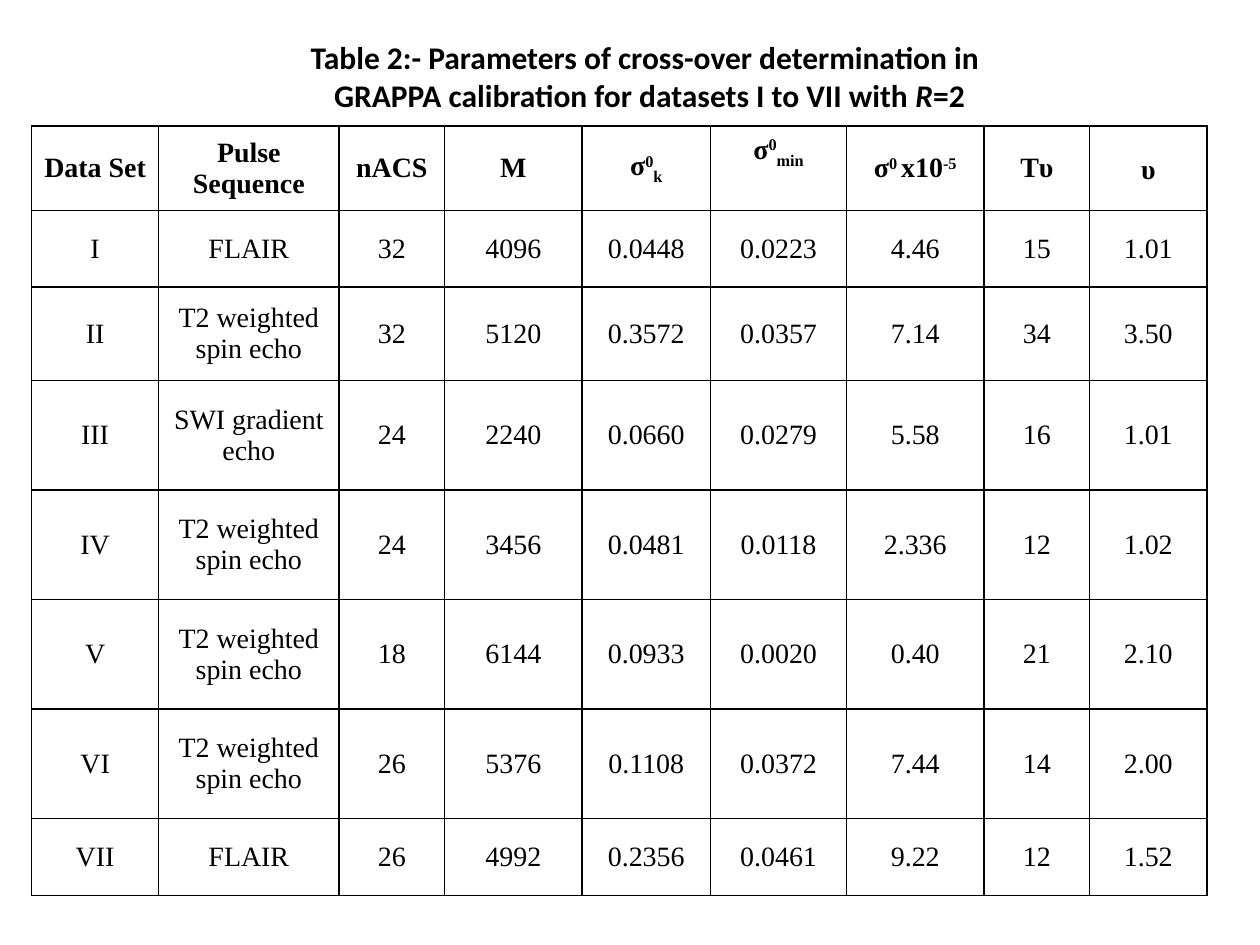
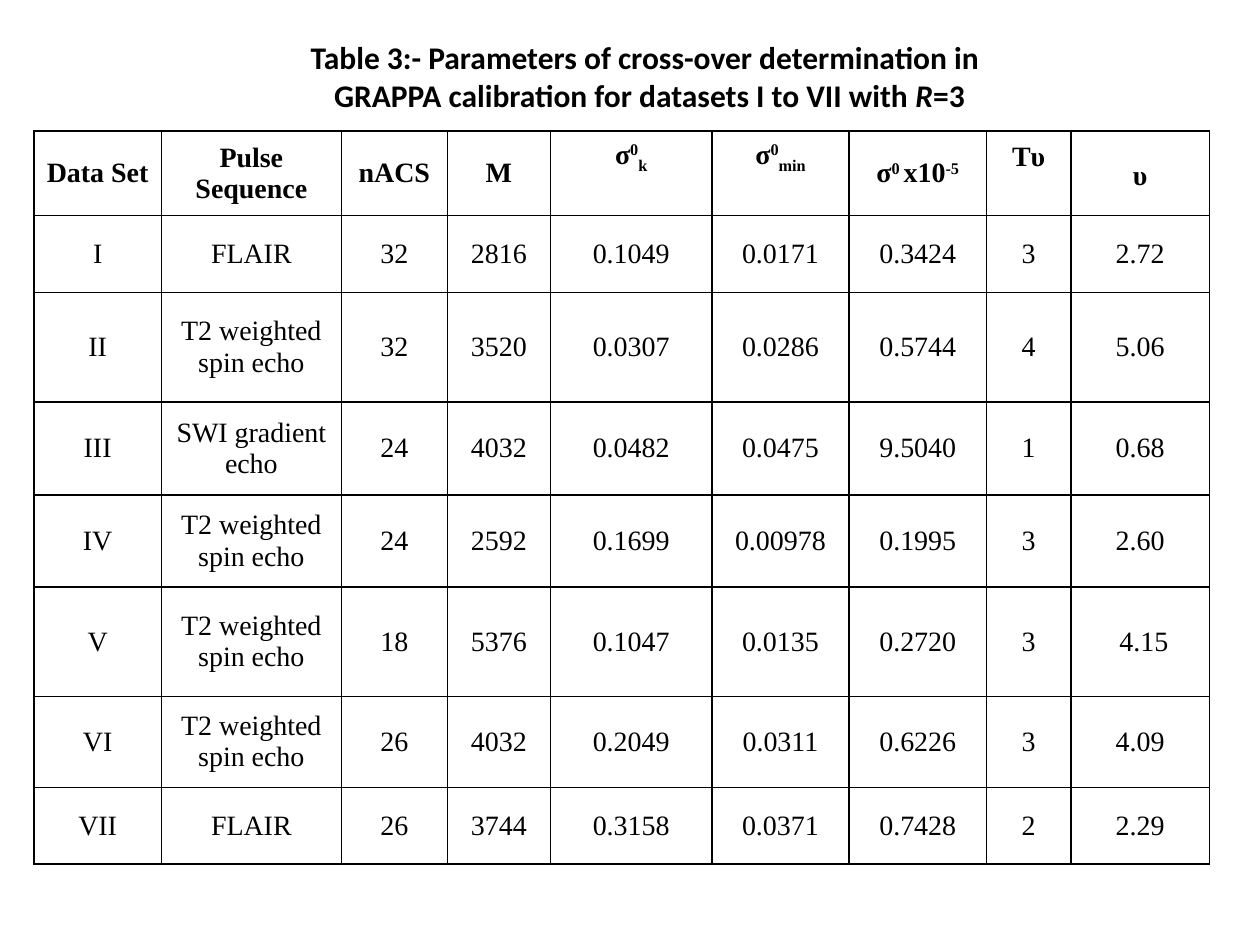
from pptx import Presentation
from pptx.dml.color import RGBColor
from pptx.enum.text import MSO_ANCHOR as Anchor, MSO_AUTO_SIZE as Fit, PP_ALIGN as Align
from pptx.oxml import parse_xml
from pptx.oxml.ns import nsdecls
from pptx.util import Inches, Pt

INK = "000000"
SIDES = ("L", "R", "T", "B")
RAISE, DROP = 30, -25

HEAD = [
    [("Data Set", 0)], [("Pulse Sequence", 0)], [("nACS", 0)], [("M", 0)],
    [("σ", 0), ("0", RAISE), ("k", DROP)],
    [("σ", 0), ("0", RAISE), ("min", DROP)],
    [("σ", 0), ("0 ", RAISE), ("x10", 0), ("-5", RAISE)],
    [("Tυ", 0)], [("υ", 0)],
]
ECHO = "T2 weighted spin echo"
SCANS = [
    ("I", "FLAIR", "32"), ("II", ECHO, "32"), ("III", "SWI gradient echo", "24"),
    ("IV", ECHO, "24"), ("V", ECHO, "18"), ("VI", ECHO, "26"), ("VII", "FLAIR", "26"),
]
# "high" lists the header columns whose text sits above the middle,
# "shift" the body cells (row, column) whose text sits right of the centre.
TABLES = [
    dict(
        no=2, rate=2, left=0.25, top=1, high=[5], shift=[],
        cols=[1.01, 1.43, 0.84, 1.09, 1.02, 1.08, 1.09, 0.84, 0.93],
        rows=[0.67, 0.61, 0.74, 0.87, 0.87, 0.87, 0.87, 0.61],
        data=[
            ("4096", "0.0448", "0.0223", "4.46", "15", "1.01"),
            ("5120", "0.3572", "0.0357", "7.14", "34", "3.50"),
            ("2240", "0.0660", "0.0279", "5.58", "16", "1.01"),
            ("3456", "0.0481", "0.0118", "2.336", "12", "1.02"),
            ("6144", "0.0933", "0.0020", "0.40", "21", "2.10"),
            ("5376", "0.1108", "0.0372", "7.44", "14", "2.00"),
            ("4992", "0.2356", "0.0461", "9.22", "12", "1.52"),
        ],
    ),
    dict(
        no=3, rate=3, left=0.27, top=1.04, high=[4, 5, 7], shift=[(5, 8)],
        cols=[1.01, 1.43, 0.84, 0.82, 1.28, 1.09, 1.09, 0.67, 1.1],
        rows=[0.67, 0.61, 0.87, 0.74, 0.73, 0.87, 0.72, 0.61],
        data=[
            ("2816", "0.1049", "0.0171", "0.3424", "3", "2.72"),
            ("3520", "0.0307", "0.0286", "0.5744", "4", "5.06"),
            ("4032", "0.0482", "0.0475", "9.5040", "1", "0.68"),
            ("2592", "0.1699", "0.00978", "0.1995", "3", "2.60"),
            ("5376", "0.1047", "0.0135", "0.2720", "3", "4.15"),
            ("4032", "0.2049", "0.0311", "0.6226", "3", "4.09"),
            ("3744", "0.3158", "0.0371", "0.7428", "2", "2.29"),
        ],
    ),
]


def add_run(para, text, size, face, bold=True, slant=False, base=0):
    run = para.add_run()
    run.text = text
    font = run.font
    font.size, font.name, font.bold, font.italic = Pt(size), face, bold, slant
    font.color.rgb = RGBColor.from_string(INK)
    if base:
        run._r.get_or_add_rPr().set("baseline", str(base * 1000))


def frame(cell):
    """Give the cell thin lines on all sides and no fill."""
    props = cell._tc.get_or_add_tcPr()
    for side in SIDES:
        props.append(parse_xml(
            f'<a:ln{side} {nsdecls("a")} w="12700"><a:solidFill>'
            f'<a:srgbClr val="{INK}"/></a:solidFill></a:ln{side}>'))
    cell.fill.background()


deck = Presentation()
deck.slide_width, deck.slide_height = Inches(10), Inches(7.5)

for spec_no, info in enumerate(TABLES):
    slide = deck.slides.add_slide(deck.slide_layouts[6])
    cols, rows = info["cols"], info["rows"]

    grid = slide.shapes.add_table(
        len(rows), len(cols), Inches(info["left"]), Inches(info["top"]),
        Inches(sum(cols)), Inches(sum(rows))).table
    grid.first_row = grid.horz_banding = False
    for col, width in zip(grid.columns, cols):
        col.width = Inches(width)
    for row, height in zip(grid.rows, rows):
        row.height = Inches(height)

    body = [[[(text, 0)] for text in scan + vals]
            for scan, vals in zip(SCANS, info["data"])]
    for r, line in enumerate([HEAD] + body):
        for c, parts in enumerate(line):
            cell = grid.cell(r, c)
            frame(cell)
            cell.vertical_anchor = Anchor.MIDDLE
            cell.margin_left = cell.margin_right = Inches(0.07)
            cell.margin_top = cell.margin_bottom = Inches(0.03)
            if r == 0 and c in info["high"]:
                cell.margin_bottom = Inches(0.29)
            if (r, c) in info["shift"]:
                cell.margin_left = Inches(0.13)
            para = cell.text_frame.paragraphs[0]
            para.alignment = Align.CENTER
            if r == 0 and c == len(cols) - 1:
                para.line_spacing = 1.15
            for text, base in parts:
                add_run(para, text, 16, "Times New Roman", bold=r == 0, base=base)

    box = slide.shapes.add_textbox(Inches(2.25), Inches(0.25), Inches(5.74), Inches(0.71))
    title = box.text_frame
    title.word_wrap = True
    title.auto_size = Fit.SHAPE_TO_FIT_TEXT
    first, second = title.paragraphs[0], title.add_paragraph()
    first.alignment = second.alignment = Align.CENTER
    second._p.get_or_add_pPr().set("marL", str(Inches(0.07)))
    add_run(first, f"Table {info['no']}:- Parameters of cross-over determination in", 18, "Calibri")
    add_run(second, "GRAPPA calibration for datasets I to VII with ", 18, "Calibri")
    add_run(second, "R", 18, "Calibri", slant=True)
    add_run(second, f"={info['rate']}", 18, "Calibri")

deck.save("out.pptx")
